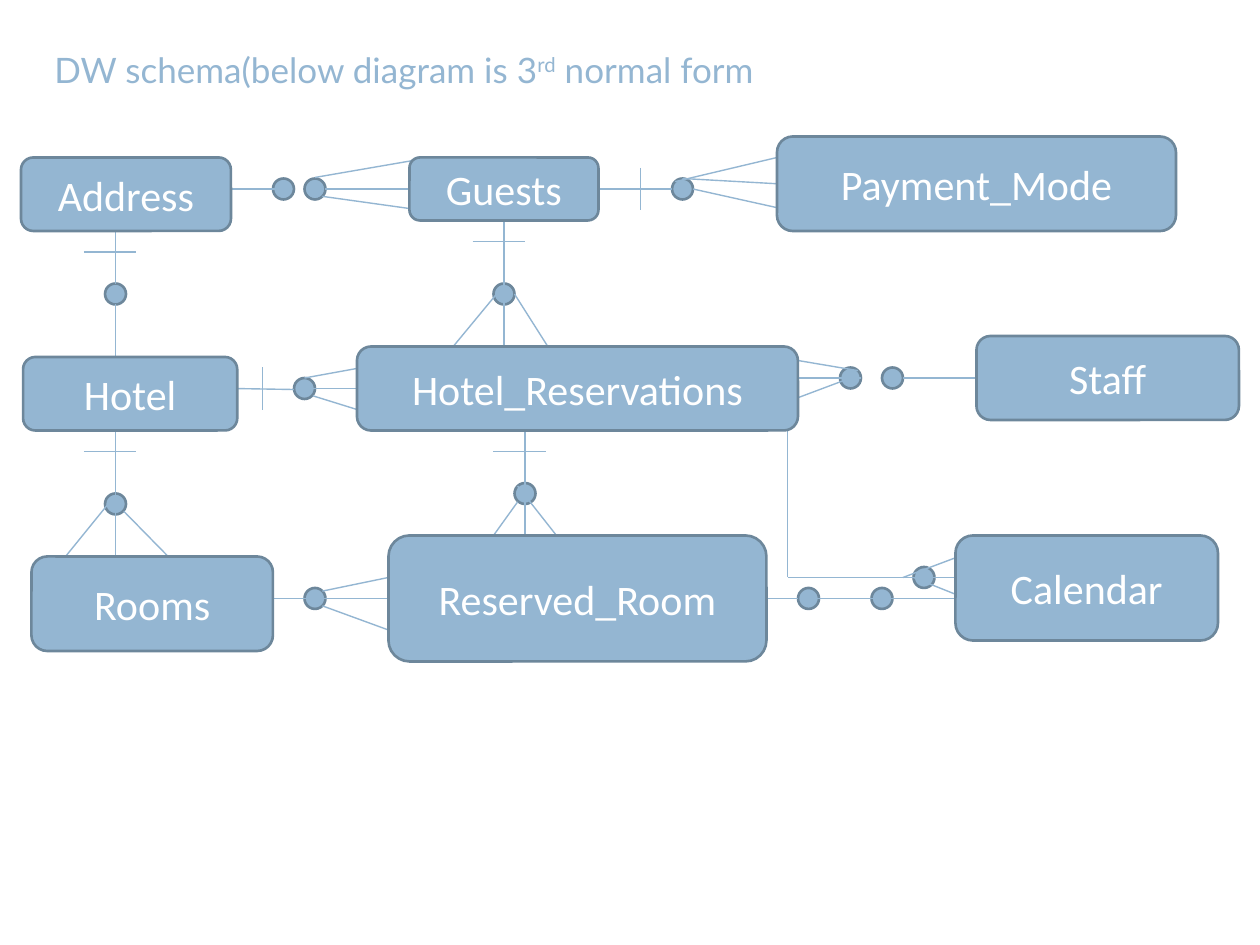
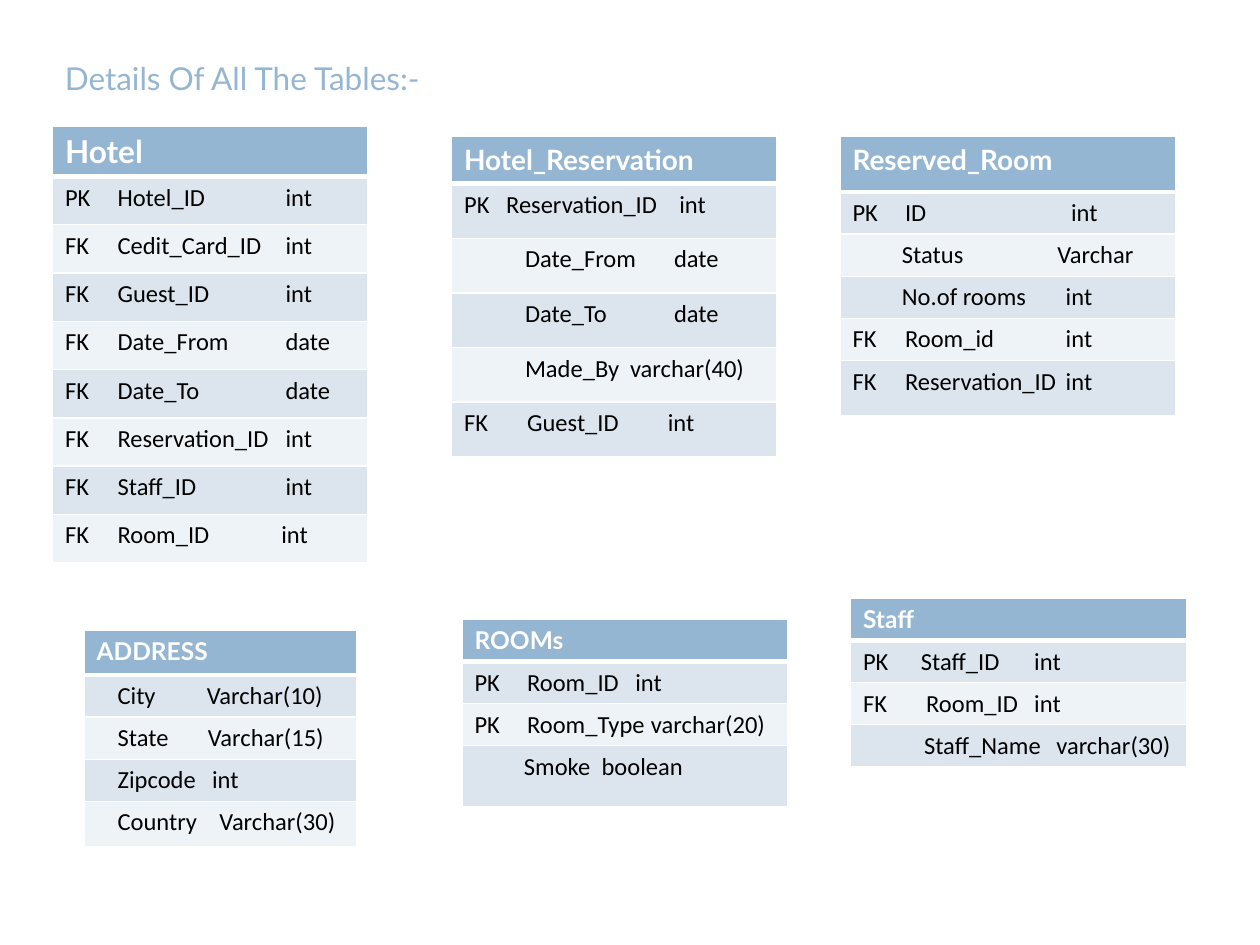
"""Build two slides on a hotel data warehouse: its schema diagram and its table details."""
from lxml.etree import SubElement
from pptx import Presentation
from pptx.dml.color import RGBColor
from pptx.enum.shapes import MSO_CONNECTOR as Link, MSO_SHAPE as Shape
from pptx.enum.text import MSO_ANCHOR as Anchor, PP_ALIGN as Align
from pptx.oxml.ns import qn
from pptx.util import Inches, Pt

COLOURS = {
    "main": "94B6D2", "edge": "6D879B", "white": "FFFFFF",
    "ink": "000000", "odd": "DCE5EE", "even": "EEF3F7",
}
COLUMNS, ROWS = 120, 90

ENTITIES = {
    "Address": (2, 15, 20, 7),
    "Guests": (39, 15, 18, 6),
    "Payment_Mode": (74, 13, 38, 9),
    "Hotel": (2.2, 34, 20.4, 7),
    "Hotel_Reservations": (34, 33, 42, 8),
    "Staff": (93, 32, 25, 8),
    "Rooms": (3, 53, 23, 9),
    "Reserved_Room": (37, 51, 36, 12),
    "Calendar": (91, 51, 25, 10),
}
RINGS = [
    (27, 18), (30, 18), (65, 18), (11, 28), (48, 28), (29, 37), (81, 36),
    (85, 36), (11, 48), (50, 47), (30, 57), (77, 57), (84, 57), (88, 55),
]
FLAT_TICKS = [(10.5, 24), (47.5, 23), (10.5, 43), (49.5, 43)]
UPRIGHT_TICKS = [(61, 18), (25, 37)]
RELATIONS = {
    "Address-Guests": [(21, 18, 27, 18), (39, 18, 31, 18),
                       (41, 15, 30, 16.9), (40, 20, 30.7, 18.7)],
    "Guests-Payment_Mode": [(57, 18, 64, 18), (74, 17.5, 65, 17),
                            (75, 20, 66, 18), (74, 15, 64.3, 17.3)],
    "Address-Hotel": [(11, 20, 11, 27), (11, 29, 11, 34)],
    "Guests-Hotel_Reservations": [(48, 21, 48, 31), (48, 28, 48, 33),
                                  (47.3, 28, 43, 33.2), (49, 28, 52.3, 33.2)],
    "Hotel-Hotel_Reservations": [(22, 37, 28, 37.1), (40, 34, 29, 36),
                                 (36, 37, 29, 37), (34, 39, 29.8, 37.7)],
    "Hotel_Reservations-Staff": [(81.7, 35.3, 74, 34), (82, 36, 72, 36),
                                 (81, 36, 73, 39), (86, 36, 93, 36)],
    "Hotel-Rooms": [(11, 41, 11, 48), (11, 47, 11, 55),
                    (10.3, 48, 6, 53.3), (11.8, 48.7, 17, 54)],
    "Rooms-Reserved_Room": [(22, 57, 31, 57), (37, 55, 30.7, 56.3),
                            (37, 57, 31, 57), (37, 60, 30.7, 57.7)],
    "Hotel_Reservations-Reserved_Room": [(50, 40, 50, 51), (49.3, 47.8, 47, 51),
                                         (49.3, 46.3, 53, 51)],
    "Hotel_Reservations-Calendar": [(75, 39, 75, 55), (75, 55, 89, 55), (94, 52, 86, 55),
                                    (91, 55, 88, 55), (92, 57, 87, 55)],
    "Reserved_Room-Calendar": [(67, 57, 76, 57), (77, 57, 95, 57)],
}

TABLES = [
    ("Hotel", 18, (5, 12, 30), (4, 4.6, 4.6), [
        ("PK", "Hotel_ID", "int", 5, 21),
        ("FK", "Cedit_Card_ID", "int", 5, 21),
        ("FK", "Guest_ID", "int", 5, 21),
        ("FK", "Date_From", "date", 5, 21),
        ("FK", "Date_To", "date", 5, 21),
        ("FK", "Reservation_ID", "int", 5, 21),
        ("FK", "Staff_ID", "int", 5, 21),
        ("FK", "Room_ID", "int", 5, 20.6)]),
    ("Hotel_Reservation", 16, (43, 13, 31), (4.5, 5.2, 5.2), [
        ("PK", "Reservation_ID", "int", 4, 20.5),
        ("", "Date_From", "date", 5.8, 20),
        ("", "Date_To", "date", 5.8, 20),
        ("", "Made_By", "varchar(40)", 5.8, 15.8),
        ("FK", "Guest_ID", "int", 6, 19.4)]),
    ("Reserved_Room", 16, (80, 13, 32), (5.3, 3.8, 5.3), [
        ("PK", "ID", "int", 5, 20.8),
        ("", "Status", "Varchar", 4.7, 19.5),
        ("", "No.of rooms", "int", 4.7, 20.3),
        ("FK", "Room_id", "int", 5, 20.3),
        ("FK", "Reservation_ID", "int", 5, 20.3)]),
    ("ADDRESS", 14, (8, 60, 26), (4.3, 3.7, 4.3), [
        ("", "City", "Varchar(10)", 2, 10.5),
        ("", "State", "Varchar(15)", 2, 10.6),
        ("", "Zipcode", "int", 2, 11),
        ("", "Country", "Varchar(30)", 2, 11.7)]),
    ("Staff", 14, (81, 57, 32), (3.5, 3.7, 3.5), [
        ("PK", "Staff_ID", "int", 5.5, 16.3),
        ("FK", "Room_ID", "int", 6, 16.3),
        ("", "Staff_Name", "varchar(30)", 5.8, 18.4)]),
    ("ROOMs", 14, (44, 59, 31), (3.4, 3.4, 5.8), [
        ("PK", "Room_ID", "int", 5, 15.3),
        ("PK", "Room_Type", "varchar(20)", 5, 16.8),
        ("", "Smoke", "boolean", 4.7, 12.1)]),
]


def colour(name):
    """Return the named colour."""
    return RGBColor.from_string(COLOURS[name])


class Board:
    """Hold the deck, its style and the current slide."""

    FORMATS = {
        "title": {"name": "Lato", "size": Pt(20), "color": "main"},
        "entity": {"name": "Calibri", "size": Pt(24), "color": "white"},
        "header": {"name": "Lato", "bold": True, "color": "white"},
        "row": {"name": "Calibri", "size": Pt(14), "bold": False, "color": "ink"},
    }

    def __init__(self):
        """Start an empty deck and measure its grid."""
        self.deck = Presentation()
        self.deck.slide_width, self.deck.slide_height = Inches(10), Inches(7.5)
        self.column = self.deck.slide_width / COLUMNS
        self.line_height = self.deck.slide_height / ROWS

    def across(self, columns):
        """Turn grid columns into a length."""
        return round(columns * self.column)

    def down(self, rows):
        """Turn grid rows into a length."""
        return round(rows * self.line_height)

    def place(self, left, top, width, height):
        """Turn a grid rectangle into lengths."""
        return self.across(left), self.down(top), self.across(width), self.down(height)

    def page(self):
        """Add a blank slide and make it current."""
        self.shapes = self.deck.slides.add_slide(self.deck.slide_layouts[6]).shapes

    def styled(self, para, text, style, **changes):
        """Add a styled run to a paragraph."""
        span = para.add_run()
        span.text = text
        for key, value in {**self.FORMATS[style], **changes}.items():
            if key == "color":
                span.font.color.rgb = colour(value)
            else:
                setattr(span.font, key, value)
        return span

    def title(self, area, size, *parts):
        """Add a title whose every second part is raised."""
        box = self.shapes.add_textbox(*self.place(*area))
        box.text_frame.word_wrap = True
        for index, text in enumerate(parts):
            span = self.styled(box.text_frame.paragraphs[0], text, "title", size=Pt(size))
            if index % 2:
                span.font._element.set("baseline", "30000")

    def solid(self, kind, area):
        """Add a filled and outlined preset shape."""
        shape = self.shapes.add_shape(kind, *self.place(*area))
        shape.shadow.inherit = False
        shape.fill.solid()
        shape.fill.fore_color.rgb = colour("main")
        shape.line.color.rgb = colour("edge")
        shape.line.width = Pt(1.5)
        return shape

    def entity(self, name, area):
        """Add a rounded box with a centred name."""
        frame = self.solid(Shape.ROUNDED_RECTANGLE, area).text_frame
        frame.vertical_anchor = Anchor.MIDDLE
        para = frame.paragraphs[0]
        para.alignment = Align.CENTER
        self.styled(para, name, "entity")

    def ring(self, x, y):
        """Add a small circle around a grid point."""
        self.solid(Shape.FLOWCHART_CONNECTOR, (x - 1, y - 1, 2, 2))

    def line(self, x1, y1, x2, y2):
        """Add a thin straight line between grid points."""
        ends = self.across(x1), self.down(y1), self.across(x2), self.down(y2)
        link = self.shapes.add_connector(Link.STRAIGHT, *ends)
        link.line.color.rgb = colour("main")
        link.line.width = Pt(0.79)
        SubElement(link._element.spPr, qn("a:effectLst"))

    def cell(self, cell, fill, bottom):
        """Give a cell white borders and a fill."""
        properties = cell._tc.get_or_add_tcPr()
        for side, width in {"L": 1, "R": 1, "T": 1, "B": bottom}.items():
            border = SubElement(properties, qn("a:ln" + side), w=str(Pt(width)))
            paint = SubElement(border, qn("a:solidFill"))
            SubElement(paint, qn("a:srgbClr"), val=COLOURS["white"])
        cell.fill.solid()
        cell.fill.fore_color.rgb = colour(fill)
        return cell.text_frame.paragraphs[0]

    def tabs(self, para, stops):
        """Set left tab stops at grid columns."""
        stop_list = SubElement(para._p.get_or_add_pPr(), qn("a:tabLst"))
        for stop in stops:
            SubElement(stop_list, qn("a:tab"), pos=str(self.across(stop)), algn="l")

    def table(self, name, size, spot, heights, fields):
        """Add a one-column table listing key, field and type."""
        first, body, last = heights
        rows = [first] + [body] * (len(fields) - 1) + [last]
        area = self.place(*spot, sum(rows))
        table = self.shapes.add_table(len(rows), 1, *area).table
        for row, height in zip(table.rows, rows):
            row.height = self.down(height)
        self.styled(self.cell(table.cell(0, 0), "main", 3), name, "header", size=Pt(size))
        for index, (key, field, kind, *stops) in enumerate(fields, 1):
            para = self.cell(table.cell(index, 0), "odd" if index % 2 else "even", 1)
            self.tabs(para, stops)
            self.styled(para, "\t".join((key, field, kind)), "row")


def main():
    """Draw both slides and save the deck."""
    board = Board()
    board.page()
    for point in RINGS:
        board.ring(*point)
    for lines in RELATIONS.values():
        for ends in lines:
            board.line(*ends)
    for x, y in FLAT_TICKS:
        board.line(x - 2.5, y, x + 2.5, y)
    for x, y in UPRIGHT_TICKS:
        board.line(x, y - 2, x, y + 2)
    for name, area in ENTITIES.items():
        board.entity(name, area)
    board.title((4, 4, 108, 5.3), 20, "DW schema(below diagram is 3", "rd", " normal form")

    board.page()
    board.title((5, 5, 102, 4.8), 18, "Details Of All The Tables:-")
    for table in TABLES:
        board.table(*table)
    board.deck.save("out.pptx")


main()
